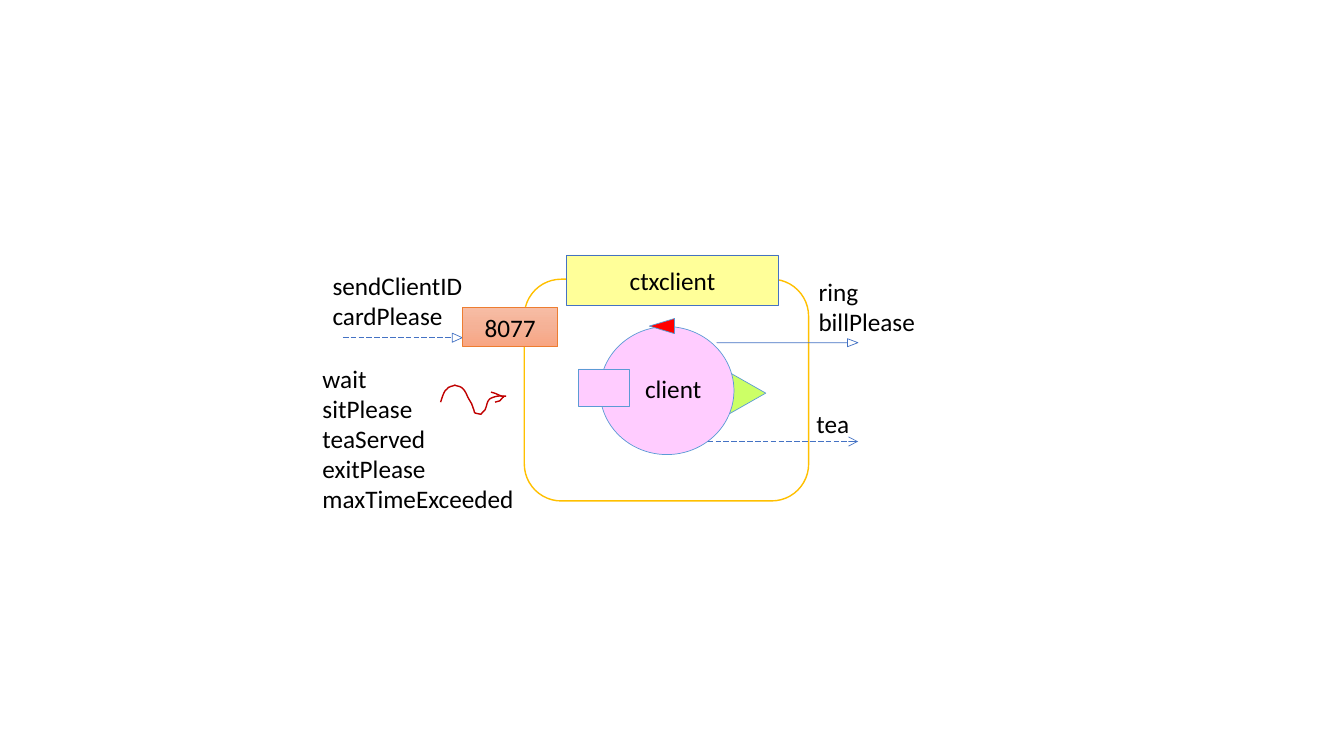
"""Draw the client context with its ports, signals and events."""
from copy import deepcopy
from dataclasses import dataclass
from typing import Optional

from lxml.etree import SubElement
from pptx import Presentation
from pptx.dml.color import RGBColor
from pptx.enum.dml import MSO_LINE
from pptx.enum.shapes import MSO_CONNECTOR, MSO_SHAPE
from pptx.enum.text import MSO_ANCHOR, MSO_AUTO_SIZE, PP_ALIGN
from pptx.oxml.ns import qn
from pptx.shapes.shapetree import GroupShapes
from pptx.util import Emu, Inches, Pt

CELL = Inches(0.1)
STEPS = 8

BLACK = RGBColor(0x00, 0x00, 0x00)
WHITE = RGBColor(0xFF, 0xFF, 0xFF)
GOLD = RGBColor(0xFF, 0xC0, 0x00)
LIME = RGBColor(0xCC, 0xFF, 0x66)
PINK = RGBColor(0xFF, 0xCC, 0xFF)
RED = RGBColor(0xFF, 0x00, 0x00)
CREAM = RGBColor(0xFF, 0xFF, 0x99)
SKY = RGBColor(0x5B, 0x9B, 0xD5)
BLUE = RGBColor(0x44, 0x72, 0xC4)
WINE = RGBColor(0xC0, 0x00, 0x00)
RUST = RGBColor(0xED, 0x7D, 0x31)
BLEND = (RGBColor(0xF7, 0xBD, 0xA5), RGBColor(0xF5, 0xB1, 0x96),
         RGBColor(0xF8, 0xA5, 0x82))

Point = tuple[float, float]


@dataclass(frozen=True)
class Block:
    """A preset shape placed by column and row."""
    kind: MSO_SHAPE
    col: float
    row: float
    wide: float
    high: float
    edge: RGBColor
    fill: Optional[RGBColor | tuple[RGBColor, ...]] = None
    text: str = ""
    turn: int = 0
    weight: float = 0.5
    adjust: tuple[float, ...] = ()


@dataclass(frozen=True)
class Note:
    """Lines of free text placed by column and row."""
    col: float
    row: float
    wide: float
    high: float
    lines: tuple[str, ...]


@dataclass(frozen=True)
class Dash:
    """A level dashed line."""
    start: float
    end: float
    row: float
    arrow: bool = False


@dataclass(frozen=True)
class Stroke:
    """A pen stroke: a start, then three points for each curve."""
    start: Point
    curves: tuple[tuple[Point, Point, Point], ...]


BLOCKS = (
    Block(MSO_SHAPE.ROUNDED_RECTANGLE, 52, 27.7, 28.2, 22, GOLD, WHITE, weight=1),
    Block(MSO_SHAPE.ISOSCELES_TRIANGLE, 65.7, 34.2, 10.9, 9.6, SKY, LIME, turn=90),
    Block(MSO_SHAPE.OVAL, 59.5, 32.4, 13.3, 12.7, SKY, PINK),
    Block(MSO_SHAPE.RECTANGLE, 57.4, 36.6, 5, 3.7, SKY, PINK),
    Block(MSO_SHAPE.ISOSCELES_TRIANGLE, 64.9, 31.1, 1.5, 2.5, SKY, RED, turn=270),
    Block(MSO_SHAPE.RECTANGLE, 56.2, 25.3, 21, 5, BLUE, CREAM, "ctxclient"),
    Block(MSO_SHAPE.RIGHT_ARROW, 71.1, 33.6, 14, 0.8, BLUE, adjust=(0, 1.31)),
    Block(MSO_SHAPE.ISOSCELES_TRIANGLE, 44.9, 33, 0.9, 1, BLUE, turn=90),
    Block(MSO_SHAPE.RECTANGLE, 45.9, 30.5, 9.4, 3.9, RUST, BLEND, "8077"),
)
DASHES = (Dash(34, 44.8, 33.5), Dash(70.2, 85.1, 43.8, True))
NOTES = (
    Note(63, 36.5, 7.7, 4, ("client",)),
    Note(80.2, 26.9, 11.7, 7.1, ("ring", "billPlease")),
    Note(32, 26.3, 15, 7.1, ("sendClientID", "cardPlease")),
    Note(80, 40, 5.3, 4, ("tea",)),
    Note(31, 35.5, 21.2, 16.2, ("wait", "sitPlease", "teaServed", "exitPlease",
                                "maxTimeExceeded")),
)
STROKES = (
    Stroke((43.7, 39.9), (
        ((43.8, 39.6), (44, 38.9), (44.2, 38.7)),
        ((44.4, 38.6), (44.4, 38.4), (44.6, 38.4)),
        ((44.7, 38.3), (45, 38.3), (45.1, 38.2)),
        ((45.3, 38.3), (45.5, 38.3), (45.7, 38.4)),
        ((46.1, 38.6), (46.3, 39.2), (46.4, 39.4)),
        ((46.4, 39.4), (46.8, 40.1), (46.8, 40.1)),
        ((46.8, 40.2), (46.9, 40.3), (46.9, 40.4)),
        ((47.2, 41.1), (46.8, 40.9), (47.7, 41.1)),
        ((48, 40.7), (48.1, 40.8), (48.2, 40.4)),
        ((48.3, 40.2), (48.3, 39.7), (48.7, 39.5)),
        ((49.4, 39.2), (49.6, 39.3), (50.2, 39.3)))),
    Stroke((50, 39.4), (((49, 39), (49.4, 39.1), (48.7, 38.9)),)),
    Stroke((50, 39.3), (((49.4, 39.9), (49.8, 39.7), (49.1, 39.9)),)),
)


def span(*cells: float) -> list[Emu]:
    """Turn grid cells into lengths."""
    return [Emu(round(cell * CELL)) for cell in cells]


def write(para, text: str) -> None:
    """Add one run of label text."""
    run = para.add_run()
    run.text = text
    run.font.name = "Calibri"
    run.font.size = Pt(18)
    run.font.color.rgb = BLACK


def blend(shape, tints: tuple[RGBColor, ...]) -> None:
    """Fill a shape from top to bottom with evenly spaced tints."""
    fill = shape.fill
    fill.gradient()
    fill.gradient_angle = 270
    stops = shape.element.spPr.find(".//" + qn("a:gsLst"))
    stops.insert(1, deepcopy(stops[0]))
    for rank, (stop, tint) in enumerate(zip(fill.gradient_stops, tints)):
        stop.position = rank / (len(tints) - 1)
        stop.color.rgb = tint


def draw_block(group: GroupShapes, item: Block) -> None:
    """Draw a preset shape and its centred label."""
    shape = group.add_shape(item.kind, *span(item.col, item.row, item.wide, item.high))
    shape.shadow.inherit = False
    shape.rotation = item.turn
    for rank, value in enumerate(item.adjust):
        shape.adjustments[rank] = value
    if item.fill is None:
        shape.fill.background()
    elif isinstance(item.fill, RGBColor):
        shape.fill.solid()
        shape.fill.fore_color.rgb = item.fill
    else:
        blend(shape, item.fill)
    shape.line.color.rgb = item.edge
    shape.line.width = Pt(item.weight)
    if item.text:
        frame = shape.text_frame
        frame.vertical_anchor = MSO_ANCHOR.MIDDLE
        para = frame.paragraphs[0]
        para.alignment = PP_ALIGN.CENTER
        write(para, item.text)


def draw_dash(group: GroupShapes, item: Dash) -> None:
    """Draw a dashed line, with an arrowhead if asked."""
    line = group.add_connector(
        MSO_CONNECTOR.STRAIGHT, *span(item.start, item.row, item.end, item.row))
    line.line.color.rgb = BLUE
    line.line.width = Pt(0.5)
    line.line.dash_style = MSO_LINE.LONG_DASH
    props = line.element.spPr
    if item.arrow:
        SubElement(props.find(qn("a:ln")), qn("a:tailEnd"), type="arrow")
    SubElement(props, qn("a:effectLst"))


def draw_note(group: GroupShapes, item: Note) -> None:
    """Draw one paragraph for each line of a note."""
    box = group.add_textbox(*span(item.col, item.row, item.wide, item.high))
    frame = box.text_frame
    frame.word_wrap = False
    frame.auto_size = MSO_AUTO_SIZE.SHAPE_TO_FIT_TEXT
    for rank, text in enumerate(item.lines):
        write(frame.add_paragraph() if rank else frame.paragraphs[0], text)


def trace(item: Stroke) -> list[list[Emu]]:
    """List the points along a stroke's curves."""
    points, first = [], item.start
    for one, two, last in item.curves:
        for step in range(1, STEPS + 1):
            t = step / STEPS
            u = 1 - t
            points.append(span(*(
                u**3 * a + 3 * u * u * t * b + 3 * u * t * t * c + t**3 * d
                for a, b, c, d in zip(first, one, two, last))))
        first = last
    return points


def draw_stroke(group: GroupShapes, item: Stroke) -> None:
    """Draw an open pen stroke."""
    pen = group.build_freeform(*span(*item.start))
    pen.add_line_segments(trace(item), close=False)
    shape = pen.convert_to_shape()
    shape.shadow.inherit = False
    shape.fill.background()
    shape.line.color.rgb = WINE
    shape.line.width = Pt(1)


def main() -> None:
    """Build and save the slide."""
    deck = Presentation()
    deck.slide_width, deck.slide_height = Inches(13.33), Inches(7.5)
    slide = deck.slides.add_slide(deck.slide_layouts[6])
    group = slide.shapes.add_group_shape().shapes
    for draw, items in ((draw_block, BLOCKS), (draw_dash, DASHES),
                        (draw_note, NOTES), (draw_stroke, STROKES)):
        for item in items:
            draw(group, item)
    deck.save("out.pptx")


if __name__ == "__main__":
    main()
